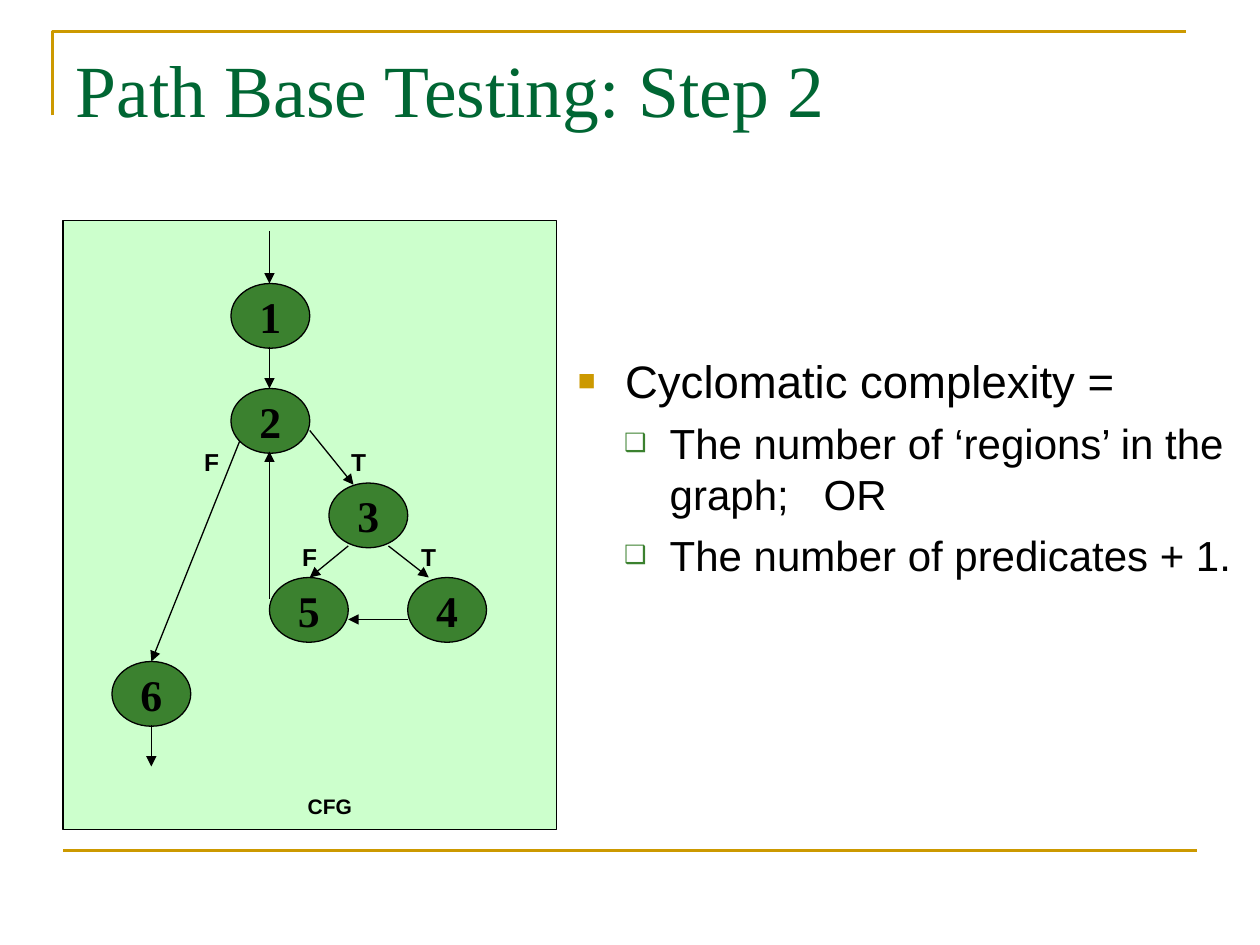
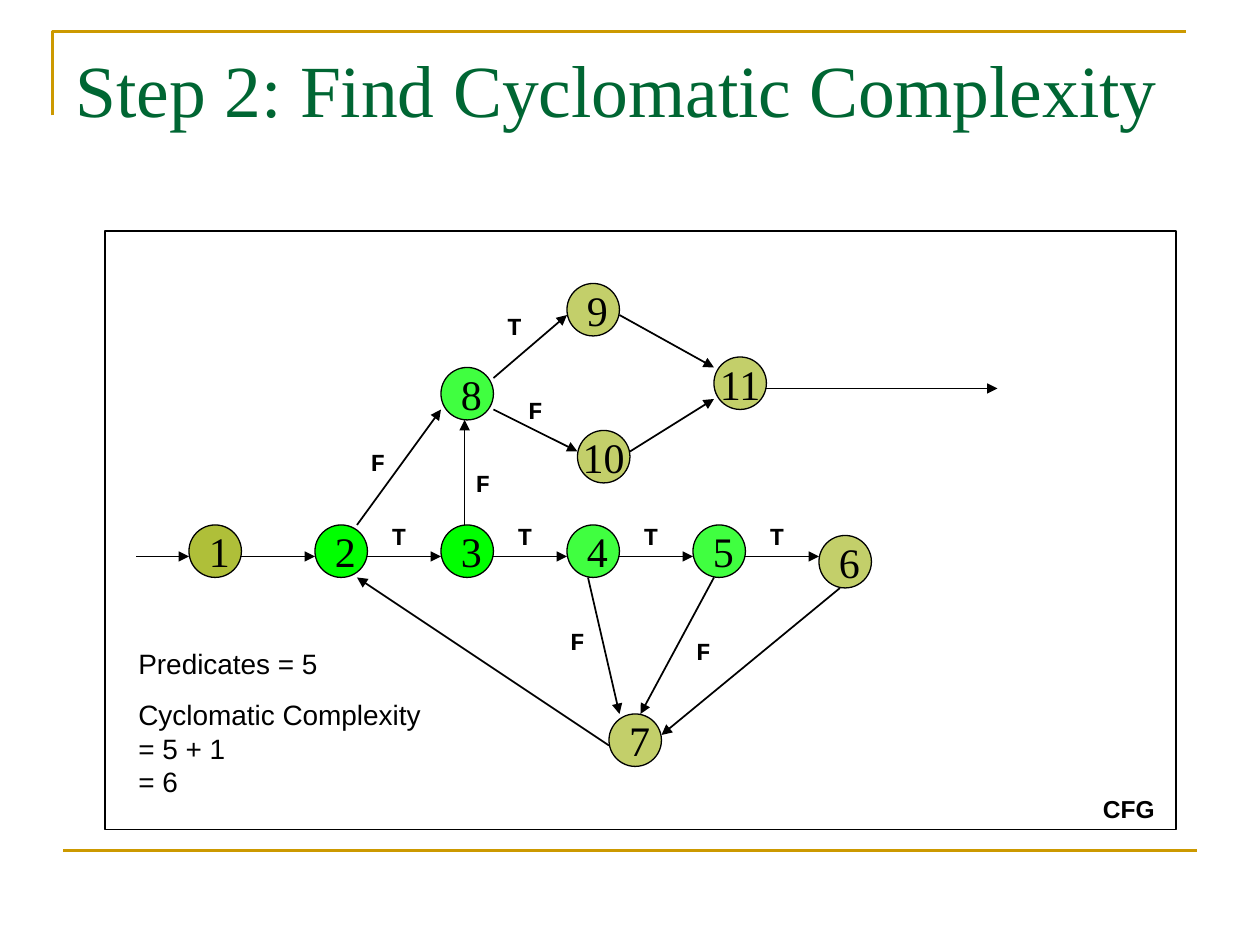
"""Build two slides on cyclomatic complexity with control flow graphs."""
from lxml import etree
from pptx import Presentation
from pptx.dml.color import RGBColor
from pptx.enum import shapes, text
from pptx.oxml import ns
from pptx.util import Pt

COLORS = {"gold": "CC9900", "title": "006633", "ink": "000000", "panel": "CCFFCC",
          "leaf": "3B812F", "olive": "AFBF39", "lime": "00FF00"}
SERIF, SANS, MONO = "Times New Roman", "Arial", "Courier New"

LOOP_GRAPH = {
    "title": "Path Base Testing: Step 2",
    "panel": (36, 126, 282, 348), "panel_fill": "panel",
    "node_size": (45, 37), "edge_width": 0.75,
    "node_font": (SERIF, 25, True), "label_font": (SANS, 14, True),
    "label_size": (34, 24),
    "nodes": [("1", 132, 162, "leaf", 100), ("2", 132, 222, "leaf", 100),
              ("3", 188, 276, "leaf", 100), ("4", 233, 330, "leaf", 100),
              ("5", 154, 330, "leaf", 100), ("6", 64, 378, "leaf", 100)],
    "edges": [(154, 132, 154, 162), (154, 198, 154, 222), (177, 246, 202, 277),
              (199, 312, 177, 330), (222, 312, 245, 330), (137, 252, 86.5, 378),
              (86.5, 414, 86.5, 438), (233, 354, 199, 354), (154, 342, 154, 258)],
    "labels": [("T", 188, 252), ("F", 104, 252), ("T", 228, 306), ("F", 160, 306)],
    "caption": ("CFG", 166, 450, 45, 22), "caption_font": (SANS, 12, True),
}
COMPLEXITY = [(0, "Cyclomatic complexity ="),
              (1, "The number of ‘regions’ in the graph;   OR"),
              (1, "The number of predicates + 1.")]
COMPLEXITY_BOX = (323, 198, 390, 198)
BULLETS = [{"char": "■", "color": "gold", "percent": 65, "size": 26,
            "left": 27, "hang": 27, "before": 6.5},
           {"char": "❑", "color": "leaf", "percent": 60, "size": 24,
            "left": 52.5, "hang": 26, "before": 6}]

SPINE_X = [108 + 72 * step for step in range(6)]
SPINE_Y, SPINE_EDGE_Y, SPINE_LABEL_Y, NODE = 300, 318, 294, 30
SPINE_FILLS = [("olive", 100), ("lime", 100), ("lime", 100), ("lime", 75), ("lime", 75),
               ("olive", 75)]
SPINE_DROPS = [0, 0, 0, 0, 0, 6]
BRANCH_GRAPH = {
    "title": "Step 2: Find Cyclomatic Complexity",
    "panel": (60, 132, 612, 342), "panel_fill": None,
    "node_size": (NODE, NODE), "edge_width": 1,
    "node_font": (SERIF, 24, False), "label_font": (MONO, 14, True),
    "label_size": (36, 24),
    "nodes": [(str(number), x, SPINE_Y + drop, *fill) for number, (x, drop, fill)
              in enumerate(zip(SPINE_X, SPINE_DROPS, SPINE_FILLS), 1)]
             + [("7", 348, 408, "olive", 75), ("8", 252, 210, "lime", 75),
                ("9", 324, 162, "olive", 75), ("10", 330, 246, "olive", 75),
                ("11", 408, 204, "olive", 75)],
    "edges": [(78, SPINE_EDGE_Y, 108, SPINE_EDGE_Y)]
             + [(x + NODE, SPINE_EDGE_Y, following, SPINE_EDGE_Y)
                for x, following in zip(SPINE_X, SPINE_X[1:])]
             + [(480, 336, 378, 420), (408, 330, 366, 408), (336, 330, 354, 408),
                (348, 426, 204, 330), (204, 300, 252, 234), (282, 216, 324, 180),
                (282, 234, 330, 258), (354, 180, 408, 210), (360, 258, 408, 228),
                (438, 222, 570, 222), (265.5, 300, 265.5, 240)],
    "labels": [("T", x + NODE, SPINE_LABEL_Y) for x in SPINE_X[1:5]]
              + [("T", 276, 174), ("F", 288, 222), ("F", 198, 252),
                 ("F", 312, 354), ("F", 384, 360), ("F", 258, 264)],
    "caption": ("CFG", 618, 450, 54, 24), "caption_font": (SANS, 14, True),
}
RESULT = ["Predicates = 5", "Cyclomatic Complexity\v= 5 + 1\v= 6"]
RESULT_BOX = (72, 366, 180, 94)


def rgb(color):
    return RGBColor.from_string(COLORS[color])


def points(*lengths):
    return [Pt(length) for length in lengths]


def set_font(paragraph, name, size, bold=False, color="ink"):
    font = paragraph.font
    font.name, font.size, font.bold = name, Pt(size), bold
    font.color.rgb = rgb(color)


def sub(parent, tag, **attributes):
    return etree.SubElement(parent, ns.qn(tag), **attributes)


def style_shape(shape, fill, line, width):
    shape.shadow.inherit = False
    if fill:
        shape.fill.solid()
        shape.fill.fore_color.rgb = rgb(fill)
    else:
        shape.fill.background()
    shape.line.color.rgb = rgb(line)
    shape.line.width = Pt(width)


def add_line(slide, ends, color, width, arrow=False):
    line = slide.shapes.add_connector(shapes.MSO_CONNECTOR.STRAIGHT, *points(*ends))
    line.line.color.rgb = rgb(color)
    line.line.width = Pt(width)
    if arrow:
        sub(line.line._get_or_add_ln(), "a:tailEnd", type="triangle")
    sub(line._element.spPr, "a:effectLst")


def add_text(slide, paragraphs, box, font, align=text.PP_ALIGN.LEFT):
    frame = slide.shapes.add_textbox(*points(*box)).text_frame
    frame.word_wrap = True
    for index, words in enumerate(paragraphs):
        paragraph = frame.add_paragraph() if index else frame.paragraphs[0]
        paragraph.text = words
        paragraph.alignment = align
        if index:
            paragraph.space_before = Pt(10)
        set_font(paragraph, *font)


def place(placeholder, box):
    placeholder.left, placeholder.top, placeholder.width, placeholder.height = points(*box)
    frame = placeholder.text_frame
    frame.vertical_anchor = text.MSO_ANCHOR.TOP
    frame.auto_size = text.MSO_AUTO_SIZE.NONE
    frame.word_wrap = True
    return frame


def add_slide(deck, layout, title):
    slide = deck.slides.add_slide(deck.slide_layouts[layout])
    corner = slide.shapes.build_freeform(30, 66, scale=Pt(1))
    corner.add_line_segments([(30, 18), (678, 18)], close=False)
    style_shape(corner.convert_to_shape(), None, "gold", 1.5)
    add_line(slide, (36, 486, 684, 486), "gold", 1.5)
    heading = place(slide.shapes.title, (36, 21.6, 648, 90)).paragraphs[0]
    heading.text = title
    heading.alignment = text.PP_ALIGN.LEFT
    set_font(heading, SERIF, 42, color="title")
    return slide


def add_node(slide, graph, number, left, top, fill, opacity):
    node = slide.shapes.add_shape(shapes.MSO_SHAPE.OVAL,
                                  *points(left, top, *graph["node_size"]))
    style_shape(node, fill, "ink", 0.75)
    if opacity < 100:
        tint = node._element.spPr.find(ns.qn("a:solidFill"))[0]
        sub(tint, "a:alpha", val=str(opacity * 1000))
    frame = node.text_frame
    frame.word_wrap = False
    frame.vertical_anchor = text.MSO_ANCHOR.MIDDLE
    paragraph = frame.paragraphs[0]
    paragraph.text = number
    centred = graph is LOOP_GRAPH or len(number) > 1
    paragraph.alignment = text.PP_ALIGN.CENTER if centred else text.PP_ALIGN.LEFT
    set_font(paragraph, *graph["node_font"])


def add_graph(slide, graph):
    panel = slide.shapes.add_shape(shapes.MSO_SHAPE.RECTANGLE, *points(*graph["panel"]))
    style_shape(panel, graph["panel_fill"], "ink", 1)
    for node in graph["nodes"]:
        add_node(slide, graph, *node)
    for edge in graph["edges"]:
        add_line(slide, edge, "ink", graph["edge_width"], arrow=True)
    for label, left, top in graph["labels"]:
        add_text(slide, [label], (left, top, *graph["label_size"]),
                 graph["label_font"], text.PP_ALIGN.CENTER)
    caption, *box = graph["caption"]
    add_text(slide, [caption], box, graph["caption_font"], text.PP_ALIGN.CENTER)


def add_bullets(body, items):
    frame = place(body, COMPLEXITY_BOX)
    for index, (level, words) in enumerate(items):
        bullet = BULLETS[level]
        paragraph = frame.add_paragraph() if index else frame.paragraphs[0]
        paragraph.text = words
        paragraph.level = level
        paragraph.space_before = Pt(bullet["before"] if index else 0)
        properties = paragraph._p.get_or_add_pPr()
        properties.set("marL", str(Pt(bullet["left"])))
        properties.set("indent", str(-Pt(bullet["hang"])))
        sub(sub(properties, "a:buClr"), "a:srgbClr", val=COLORS[bullet["color"]])
        sub(properties, "a:buSzPct", val=str(bullet["percent"] * 1000))
        sub(properties, "a:buFont", typeface=SANS)
        sub(properties, "a:buChar", char=bullet["char"])
        set_font(paragraph, SANS, bullet["size"])


def main():
    deck = Presentation()
    deck.slide_width, deck.slide_height = points(720, 540)

    loop = add_slide(deck, 1, LOOP_GRAPH["title"])
    add_graph(loop, LOOP_GRAPH)
    add_bullets(loop.placeholders[1], COMPLEXITY)

    branch = add_slide(deck, 5, BRANCH_GRAPH["title"])
    add_graph(branch, BRANCH_GRAPH)
    add_text(branch, RESULT, RESULT_BOX, (SANS, 16))

    deck.save("out.pptx")


if __name__ == "__main__":
    main()
